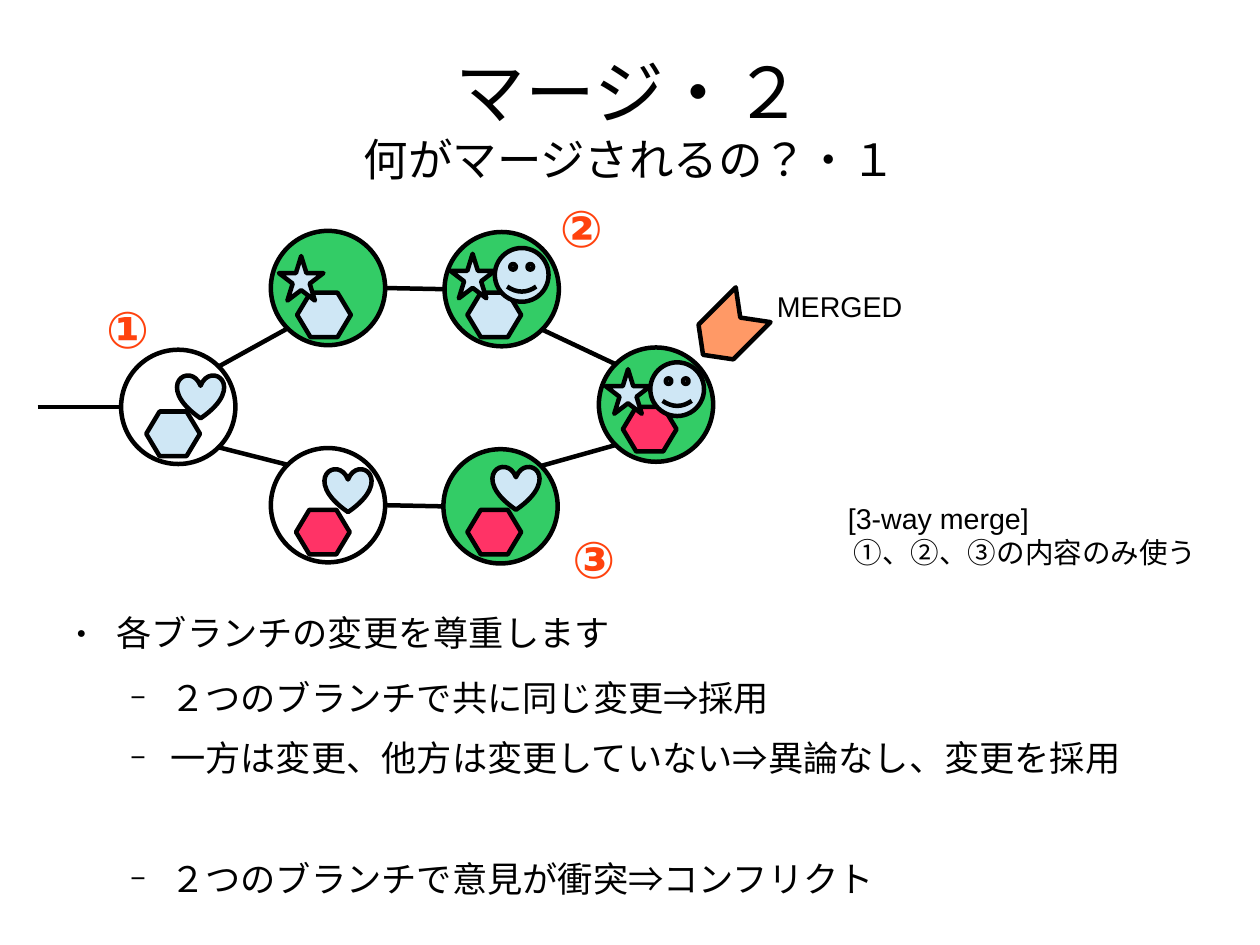
from math import cos, radians, sin

from lxml.etree import SubElement
from pptx import Presentation
from pptx.dml.color import RGBColor
from pptx.enum.lang import MSO_LANGUAGE_ID as Language
from pptx.enum.shapes import MSO_CONNECTOR, MSO_SHAPE as Preset
from pptx.enum.text import MSO_ANCHOR as Anchor, PP_ALIGN as Align
from pptx.oxml.ns import qn
from pptx.util import Pt

SLIDE_SIZE = (10080625, 7559675)
PX = 9144
LINE_WIDTH = 2.83
COMMIT_SIZE = 100
BLACK, WHITE, GREEN, PALE = "000000", "FFFFFF", "33CC66", "CFE7F5"
RED, ORANGE, NUMBER_RED = "FF3366", "FF9966", "FF420E"
ARIAL, NOTO = "Arial", "Noto Sans CJK JP"

FILES = {
    "hexagon": (Preset.HEXAGON, 47, 39, [0.3]),
    "heart": (Preset.HEART, 41, 38, []),
    "star": (Preset.STAR_5_POINT, 39, 39, []),
    "smiley": (Preset.SMILEY_FACE, 47, 47, []),
}
COMMITS = {
    "base": (106, 306, WHITE, [("hexagon", 22, 54, PALE), ("heart", 49, 22, PALE)]),
    "upper 1": (237, 202, GREEN, [("hexagon", 23, 54, PALE), ("star", 7, 22, PALE)]),
    "upper 2": (389, 203, GREEN, [("hexagon", 20, 53, PALE), ("star", 5, 19, PALE),
                                  ("smiley", 44, 14, PALE)]),
    "lower 1": (237, 392, WHITE, [("hexagon", 22, 54, RED), ("heart", 47, 18, PALE)]),
    "lower 2": (388, 393, GREEN, [("hexagon", 21, 53, RED), ("heart", 43, 15, PALE)]),
    "merged": (524, 304, GREEN, [("hexagon", 21, 52, RED), ("star", 6, 19, PALE),
                                 ("smiley", 45, 13, PALE)]),
}
BRANCH_LINES = [
    ("base", -45, "upper 1", 135),
    ("upper 1", 0, "upper 2", 180),
    ("upper 2", 45, "merged", -135),
    ("base", 45, "lower 1", -135),
    ("lower 1", 0, "lower 2", 180),
    ("lower 2", -45, "merged", 135),
]
HISTORY_LINE = ((33, 356), (106, 356))
MERGE_ARROW = (606, 267, 62, 43)

TITLE = [("マージ・２", 44), ("何がマージされるの？・１", 28)]
NUMBERS = [("①", 83, 256), ("②", 480, 167), ("③", 491, 457)]
MERGE_NOTE = [("[3-way merge]", ARIAL, 0), ("①、②、③の内容のみ使う", NOTO, 5)]
BULLETS = [
    ("各ブランチの変更を尊重します", 0, 0),
    ("２つのブランチで共に同じ変更⇒採用", 1, 0),
    ("一方は変更、他方は変更していない⇒異論なし、変更を採用", 1, 0),
    ("２つのブランチで意見が衝突⇒コンフリクト", 1, 38),
]
LEVELS = [
    {"char": "●", "size": 45000, "margin": 47, "after": 14.2},
    {"char": "−", "size": 75000, "margin": 94, "after": 11.3},
]
HANGING = 35
BODY_SIZE = 22.2


def color(value):
    return RGBColor.from_string(value)


def emu(*lengths):
    return [round(length * PX) for length in lengths]


def set_values(target, values):
    for name, value in values.items():
        setattr(target, name, value)


def add_shape(preset, box, fill, adjustments=()):
    shape = slide.shapes.add_shape(preset, *emu(*box))
    shape.shadow.inherit = False
    shape.fill.solid()
    shape.fill.fore_color.rgb = color(fill)
    shape.line.color.rgb = color(BLACK)
    shape.line.width = Pt(LINE_WIDTH)
    for index, value in enumerate(adjustments):
        shape.adjustments[index] = value
    return shape


def add_line(start, end):
    line = slide.shapes.add_connector(MSO_CONNECTOR.STRAIGHT, *emu(*start, *end))
    line.line.color.rgb = color(BLACK)
    line.line.width = Pt(LINE_WIDTH)
    SubElement(line._element.spPr, qn("a:effectLst"))


def rim_point(commit, angle):
    left, top = COMMITS[commit][:2]
    radius = COMMIT_SIZE / 2
    return (left + radius + radius * cos(radians(angle)),
            top + radius + radius * sin(radians(angle)))


def add_text_frame(box, margins=(10, 5), anchor=Anchor.TOP):
    frame = slide.shapes.add_textbox(*emu(*box)).text_frame
    side, edge = emu(*margins)
    set_values(frame, {"word_wrap": True, "vertical_anchor": anchor,
                       "margin_left": side, "margin_right": side,
                       "margin_top": edge, "margin_bottom": edge})
    return frame


def next_paragraph(frame, index):
    return frame.add_paragraph() if index else frame.paragraphs[0]


def add_run(paragraph, text, size, fill=BLACK, name=ARIAL, bold=False):
    run = paragraph.add_run()
    run.text = text
    set_values(run.font, {"name": name, "size": Pt(size), "bold": bold})
    run.font.color.rgb = color(fill)
    SubElement(run._r.get_or_add_rPr(), qn("a:ea"), typeface=name)
    return run


def add_bullet(paragraph, level):
    properties = paragraph._p.get_or_add_pPr()
    margin, hanging = emu(level["margin"], HANGING)
    properties.set("marL", str(margin))
    properties.set("indent", str(-hanging))
    bullet_color = SubElement(properties, qn("a:buClr"))
    SubElement(bullet_color, qn("a:srgbClr"), val=BLACK)
    SubElement(properties, qn("a:buSzPct"), val=str(level["size"]))
    SubElement(properties, qn("a:buFont"), typeface=ARIAL)
    SubElement(properties, qn("a:buChar"), char=level["char"])


presentation = Presentation()
presentation.slide_width, presentation.slide_height = SLIDE_SIZE
slide = presentation.slides.add_slide(presentation.slide_layouts[6])

title = add_text_frame((55, 30, 992, 145), (0, 0), Anchor.MIDDLE).paragraphs[0]
title.alignment = Align.CENTER
for index, (text, size) in enumerate(TITLE):
    if index:
        title.add_line_break()
    add_run(title, text, size).font.language_id = Language.JAPANESE

for left, top, fill, files in COMMITS.values():
    add_shape(Preset.OVAL, (left, top, COMMIT_SIZE, COMMIT_SIZE), fill)
    for kind, right, down, file_fill in files:
        preset, width, height, adjustments = FILES[kind]
        add_shape(preset, (left + right, top + down, width, height), file_fill, adjustments)

for start, start_angle, end, end_angle in BRANCH_LINES:
    add_line(rim_point(start, start_angle), rim_point(end, end_angle))
add_line(*HISTORY_LINE)

merge_arrow = add_shape(Preset.CHEVRON, MERGE_ARROW, ORANGE, [0.37])
merge_arrow.rotation = 135
add_run(add_text_frame((670, 248, 137, 38)).paragraphs[0], "MERGED", 18)

for text, left, top in NUMBERS:
    frame = add_text_frame((left, top, 64, 60))
    add_run(frame.paragraphs[0], text, 32, NUMBER_RED, bold=True)

merge_note = add_text_frame((732, 433, 345, 74))
for index, (text, name, indent) in enumerate(MERGE_NOTE):
    paragraph = next_paragraph(merge_note, index)
    paragraph._p.get_or_add_pPr().set("marL", str(indent * PX))
    add_run(paragraph, text, 18, name=name)

body = add_text_frame((55, 535, 970, 256), (0, 0))
for index, (text, depth, before) in enumerate(BULLETS):
    paragraph = next_paragraph(body, index)
    add_bullet(paragraph, LEVELS[depth])
    set_values(paragraph, {"level": depth, "space_before": Pt(before),
                           "space_after": Pt(LEVELS[depth]["after"])})
    add_run(paragraph, text, BODY_SIZE)

presentation.save("out.pptx")
